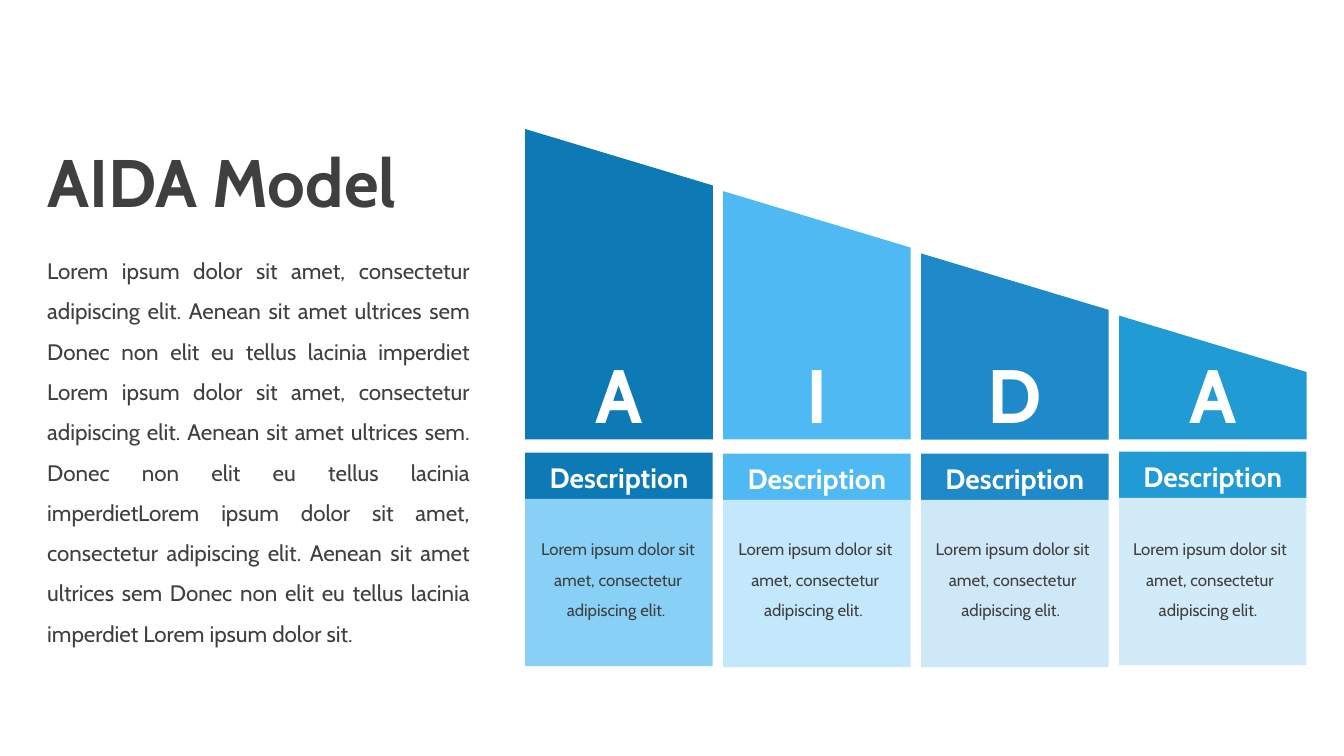
from pptx import Presentation
from pptx.dml.color import RGBColor
from pptx.enum.shapes import MSO_SHAPE
from pptx.enum.text import MSO_ANCHOR, PP_ALIGN
from pptx.util import Inches, Pt

FONT = "Cabin"
DARK, WHITE = "3F3F3F", "FFFFFF"
COL_W, COL_PITCH = 1.86, 1.963
STEP_DROP, SLOPE = 0.617, 0.56
HEADER_H, CARD_H = 0.46, 1.66

INTRO = (
    "Lorem ipsum dolor sit amet, consectetur adipiscing elit. Aenean sit amet "
    "ultrices sem Donec non elit eu tellus lacinia imperdiet Lorem ipsum dolor "
    "sit amet, consectetur adipiscing elit. Aenean sit amet ultrices sem. Donec "
    "non elit eu tellus lacinia imperdietLorem ipsum dolor sit amet, consectetur "
    "adipiscing elit. Aenean sit amet ultrices sem Donec non elit eu tellus "
    "lacinia imperdiet Lorem ipsum dolor sit."
)
CARD_TEXT = "Lorem ipsum dolor sit amet, consectetur adipiscing elit. "

# letter, strong colour, pale colour, header top
STAGES = [
    ("A", "0D7AB5", "89D0F7", 4.49),
    ("I", "4EB9F2", "C4E8FB", 4.50),
    ("D", "1E8ACA", "CFE8F8", 4.50),
    ("A", "209BD3", "D1ECF8", 4.48),
]


def rgb(color):
    return RGBColor.from_string(color)


def paint(sp, color):
    sp.shadow.inherit = False
    sp.fill.solid()
    sp.fill.fore_color.rgb = rgb(color)
    sp.line.fill.background()


def write(sp, text, size, color, bold=False, align=PP_ALIGN.CENTER,
          anchor=MSO_ANCHOR.TOP, spacing=None):
    tf = sp.text_frame
    tf.word_wrap = True
    tf.vertical_anchor = anchor
    p = tf.paragraphs[0]
    p.text = text
    p.alignment = align
    p.line_spacing = spacing
    font = p.font
    font.name, font.size, font.bold = FONT, Pt(size), bold
    font.color.rgb = rgb(color)
    return tf


def add_text(s, x, y, w, h, text, size, **style):
    sp = s.shapes.add_textbox(Inches(x), Inches(y), Inches(w), Inches(h))
    write(sp, text, size, DARK, **style)


def add_rect(s, x, y, w, h, color):
    sp = s.shapes.add_shape(MSO_SHAPE.RECTANGLE, Inches(x), Inches(y), Inches(w), Inches(h))
    paint(sp, color)
    return sp


def add_intro(s, x, y):
    add_text(s, x, y, 10, 1.63, "AIDA Model", 48, bold=True,
             align=PP_ALIGN.LEFT, anchor=MSO_ANCHOR.MIDDLE, spacing=0.9)
    add_text(s, x, y + 1.34, 4.39, 4.1, INTRO, 16, align=PP_ALIGN.JUSTIFY, spacing=1.5)


def add_slope(s, x, top, bottom, letter, color):
    corners = [(x, top), (x + COL_W, top + SLOPE), (x + COL_W, bottom), (x, bottom)]
    points = [(Inches(px), Inches(py)) for px, py in corners]
    builder = s.shapes.build_freeform(*points[0])
    builder.add_line_segments(points[1:], close=True)
    sp = builder.convert_to_shape()
    paint(sp, color)
    tf = write(sp, letter, 54, WHITE, bold=True, anchor=MSO_ANCHOR.BOTTOM)
    tf.margin_bottom = Inches(0.01)


def add_card(s, x, y, strong, pale):
    header = add_rect(s, x, y, COL_W, HEADER_H, strong)
    tf = write(header, "Description", 20, WHITE, bold=True, anchor=MSO_ANCHOR.MIDDLE)
    tf.margin_top, tf.margin_bottom = Inches(0.08), Inches(0.04)
    add_rect(s, x, y + HEADER_H, COL_W, CARD_H, pale)


def add_stages(s, x, y, bottom):
    for i, (letter, strong, pale, header_top) in enumerate(STAGES):
        left = x + i * COL_PITCH
        add_slope(s, left, y + i * STEP_DROP, bottom, letter, strong)
        add_card(s, left, header_top, strong, pale)
        # Card text sits on a slightly tighter pitch than the columns
        add_text(s, x - 0.02 + i * 1.957, 5.2, 1.88, 0.98, CARD_TEXT, 12, spacing=1.5)


def main():
    prs = Presentation()
    prs.slide_width, prs.slide_height = Inches(13.33), Inches(7.5)
    s = prs.slides.add_slide(prs.slide_layouts[6])
    add_intro(s, 0.37, 1.03)
    add_stages(s, 5.21, 1.28, 4.36)
    prs.save("out.pptx")


if __name__ == "__main__":
    main()
